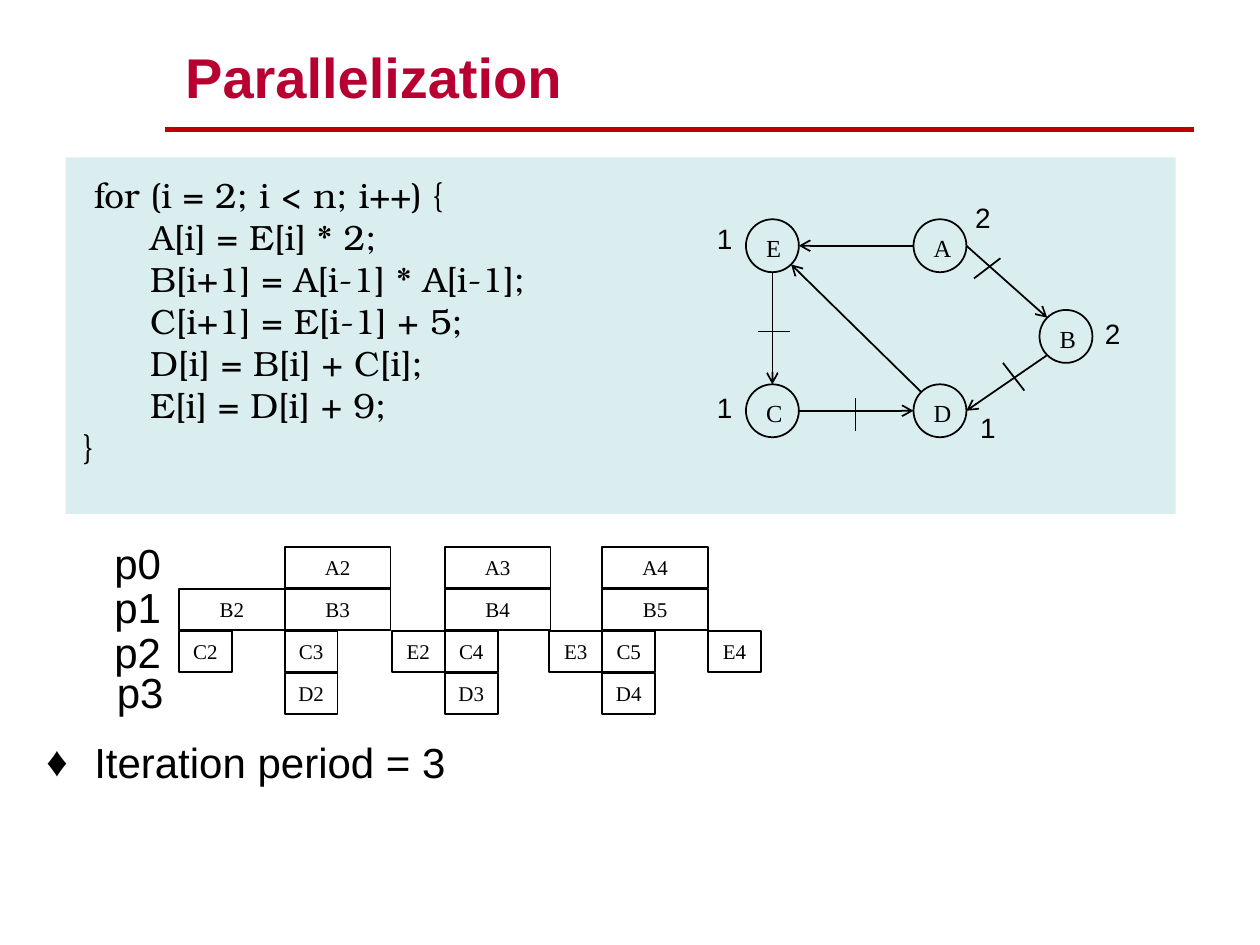
from dataclasses import dataclass
from math import sqrt

from lxml.etree import SubElement
from pptx import Presentation
from pptx.dml.color import RGBColor
from pptx.enum.shapes import MSO_CONNECTOR, MSO_SHAPE
from pptx.enum.text import MSO_ANCHOR, MSO_AUTO_SIZE, PP_ALIGN
from pptx.oxml.ns import qn
from pptx.util import Inches, Pt

BLACK = "000000"
SANS, SERIF, CODE_FONT = "Arial", "Times New Roman", "TeX Gyre Bonum"
NODE_SIZE = 0.42
TIME_UNIT = 0.42
SCHEDULE_TOP, ROW_PITCH, BLOCK_HEIGHT = 4.34, 1 / 3, 0.33
PROCESSORS = "ABCD"  # the operation that each processor row runs


@dataclass
class Node:
    left: float
    top: float

    def anchor(self, across: int, down: int) -> tuple[float, float]:
        """Point on the circle in a compass direction of -1, 0 or 1 each way."""
        radius = NODE_SIZE / 2
        reach = radius / sqrt(across**2 + down**2)
        return self.left + radius + across * reach, self.top + radius + down * reach


@dataclass
class Edge:
    source: str
    source_side: tuple[int, int]
    target: str
    target_side: tuple[int, int]


NODES = {
    "A": Node(7.25, 1.74), "E": Node(5.92, 1.74), "B": Node(8.25, 2.46),
    "C": Node(5.92, 3.05), "D": Node(7.25, 3.05),
}
EDGES = [
    Edge("A", (-1, 0), "E", (1, 0)), Edge("A", (1, 0), "B", (-1, -1)),
    Edge("B", (-1, 1), "D", (1, 0)), Edge("C", (1, 0), "D", (-1, 0)),
    Edge("E", (0, 1), "C", (0, -1)), Edge("D", (-1, -1), "E", (1, 1)),
]
DELAY_MARKS = [
    ((7.73, 2.21), (7.94, 2.05)), ((7.96, 2.88), (8.13, 3.1)),
    ((6.79, 3.42), (6.79, 3.16)), ((6.02, 2.63), (6.27, 2.63)),
]
DURATIONS = [("2", 7.64, 1.54), ("2", 8.67, 2.46), ("1", 5.59, 1.71),
             ("1", 5.59, 3.05), ("1", 7.68, 3.21)]
SCHEDULE = [(1.42, ["B2", "C2"]), (2.26, ["A2", "B3", "C3", "D2"]), (3.11, ["E2"]),
            (3.53, ["A3", "B4", "C4", "D3"]), (4.36, ["E3"]),
            (4.78, ["A4", "B5", "C5", "D4"]), (5.62, ["E4"])]
PROCESSOR_LABELS = [("p0", 0.81, 4.22), ("p1", 0.81, 4.57),
                    ("p2", 0.81, 4.92), ("p3", 0.83, 5.24)]
CODE = [
    " for (i = 2; i < n; i++) {",
    "      A[i] = E[i] * 2;",
    "      B[i+1] = A[i-1] * A[i-1];",
    "      C[i+1] = E[i-1] + 5;",
    "      D[i] = B[i] + C[i];",
    "      E[i] = D[i] + 9;",
    "}",
]


def color(value: str) -> RGBColor:
    return RGBColor.from_string(value)


def set_font(paragraph, name: str, size: int, value: str = BLACK, bold: bool = False) -> None:
    font = paragraph.font
    font.name, font.size, font.bold = name, Pt(size), bold
    font.color.rgb = color(value)


def add_box(slide, kind, left: float, top: float, width: float, height: float,
            fill: str | None = None, line: str | None = None):
    shape = slide.shapes.add_shape(kind, Inches(left), Inches(top), Inches(width), Inches(height))
    shape.shadow.inherit = False
    if fill:
        shape.fill.solid()
        shape.fill.fore_color.rgb = color(fill)
    else:
        shape.fill.background()
    if line:
        shape.line.color.rgb = color(line)
        shape.line.width = Pt(1)
    else:
        shape.line.fill.background()
    return shape


def add_label(shape, text: str, size: int, anchor) -> None:
    shape.text_frame.vertical_anchor = anchor
    paragraph = shape.text_frame.paragraphs[0]
    paragraph.text = text
    paragraph.alignment = PP_ALIGN.CENTER
    set_font(paragraph, SERIF, size)


def add_line(slide, start: tuple[float, float], end: tuple[float, float],
             value: str = BLACK, width: float = 1, arrow: bool = False) -> None:
    connector = slide.shapes.add_connector(
        MSO_CONNECTOR.STRAIGHT, *(Inches(length) for length in (*start, *end)))
    connector.line.color.rgb = color(value)
    connector.line.width = Pt(width)
    if arrow:
        SubElement(connector.line._get_or_add_ln(), qn("a:tailEnd"), type="arrow")
    SubElement(connector._element.spPr, qn("a:effectLst"))


def add_text(slide, lines: list[str], left: float, top: float, width: float, height: float,
             font: str, size: int, wrap: bool = False):
    box = slide.shapes.add_textbox(Inches(left), Inches(top), Inches(width), Inches(height))
    frame = box.text_frame
    frame.word_wrap = wrap
    frame.auto_size = MSO_AUTO_SIZE.SHAPE_TO_FIT_TEXT
    frame.text = "\n".join(lines)
    for paragraph in frame.paragraphs:
        set_font(paragraph, font, size)
    return box


def add_title(slide, text: str) -> None:
    title = slide.shapes.title
    title.left, title.top, title.width, title.height = map(Inches, (1.37, 0.25, 8, 0.67))
    title.text_frame.auto_size = MSO_AUTO_SIZE.NONE
    title.text_frame.vertical_anchor = MSO_ANCHOR.BOTTOM
    paragraph = title.text_frame.paragraphs[0]
    paragraph.text = text
    paragraph.alignment = PP_ALIGN.LEFT
    set_font(paragraph, SANS, 32, "B70031", bold=True)


def add_bullet(slide, text: str) -> None:
    box = add_text(slide, [text], 0.27, 5.8, 8.8, 1.17, SANS, 24, wrap=True)
    box.text_frame.auto_size = MSO_AUTO_SIZE.NONE
    properties = box.text_frame.paragraphs[0]._p.get_or_add_pPr()
    properties.set("marL", str(Inches(0.38)))
    properties.set("indent", str(-Inches(0.38)))
    properties.insert(0, properties.makeelement(qn("a:buFont"), {"typeface": SANS}))
    properties.insert(1, properties.makeelement(qn("a:buChar"), {"char": "♦"}))


def add_block(slide, name: str, left: float) -> None:
    # E shares the third processor with C
    row = PROCESSORS.index(name[0].replace("E", "C"))
    units = 2 if name[0] in "AB" else 1
    block = add_box(slide, MSO_SHAPE.RECTANGLE, left, SCHEDULE_TOP + row * ROW_PITCH,
                    units * TIME_UNIT, BLOCK_HEIGHT, line=BLACK)
    add_label(block, name, 12, MSO_ANCHOR.MIDDLE)


def main() -> None:
    presentation = Presentation()
    presentation.slide_width, presentation.slide_height = Inches(10), Inches(7.5)
    slide = presentation.slides.add_slide(presentation.slide_layouts[5])

    # Header
    add_line(slide, (1.31, 1.03), (9.48, 1.03), "C00000", 3)
    add_title(slide, "Parallelization")

    # Loop code
    add_box(slide, MSO_SHAPE.RECTANGLE, 0.52, 1.25, 8.81, 2.83, fill="DAEDEF")
    add_text(slide, CODE, 0.56, 1.33, 4.02, 2.44, CODE_FONT, 20, wrap=True)

    # Data flow graph
    for name, node in NODES.items():
        circle = add_box(slide, MSO_SHAPE.OVAL, node.left, node.top, NODE_SIZE, NODE_SIZE, line=BLACK)
        add_label(circle, name, 14, MSO_ANCHOR.TOP)
    for edge in EDGES:
        add_line(slide, NODES[edge.source].anchor(*edge.source_side),
                 NODES[edge.target].anchor(*edge.target_side), arrow=True)
    for start, end in DELAY_MARKS:
        add_line(slide, start, end)
    for text, left, top in DURATIONS:
        add_text(slide, [text], left, top, 0.32, 0.37, SANS, 16)

    # Processor schedule
    for left, names in SCHEDULE:
        for name in names:
            add_block(slide, name, left)
    for text, left, top in PROCESSOR_LABELS:
        add_text(slide, [text], left, top, 0.66, 0.5, SANS, 24)

    # Result
    add_bullet(slide, "Iteration period = 3")

    presentation.save("out.pptx")


if __name__ == "__main__":
    main()
